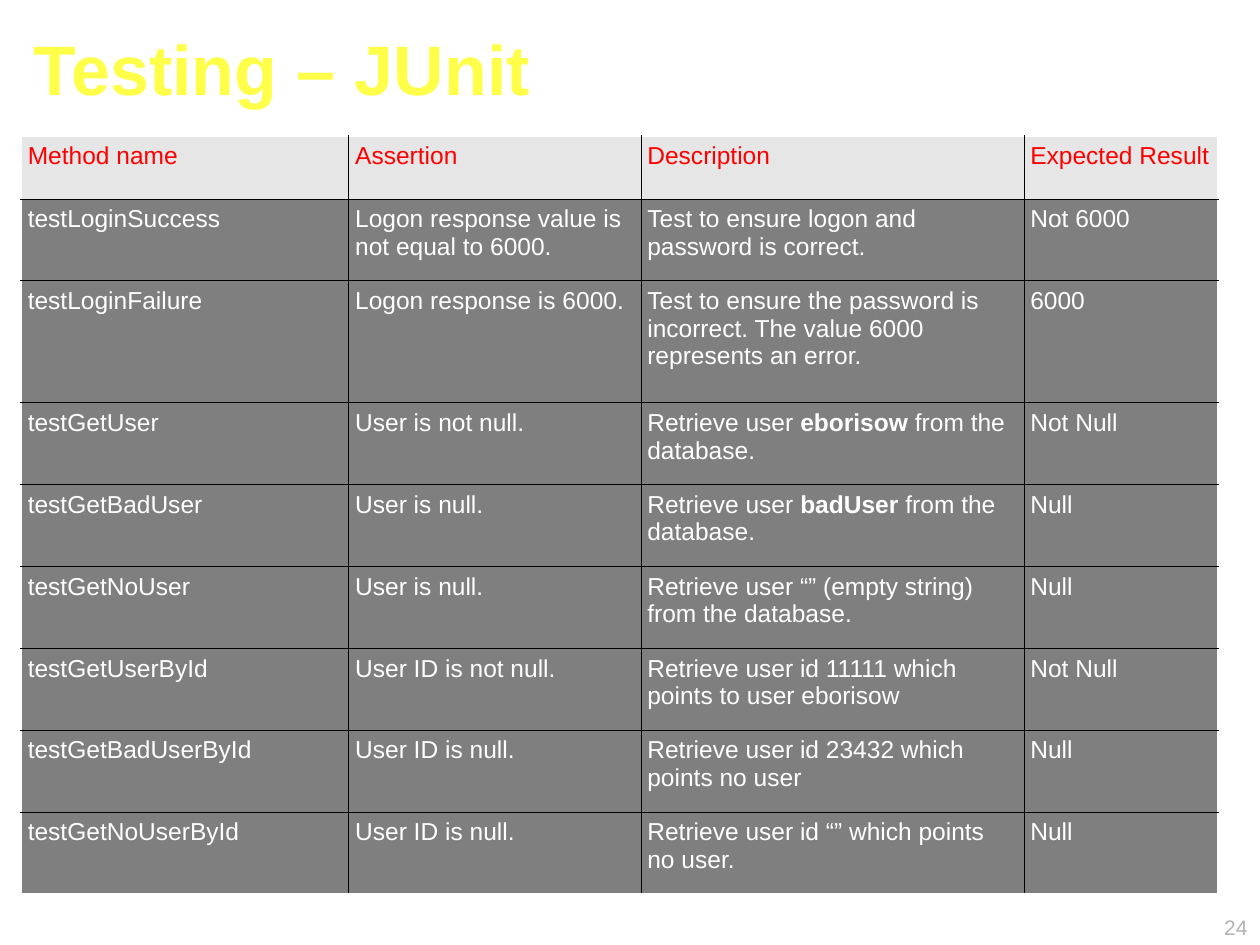
"""Build a slide with a table of JUnit test cases."""
from lxml import etree
from pptx import Presentation
from pptx.dml.color import RGBColor
from pptx.enum import text as t
from pptx.oxml import ns
from pptx.util import Cm, Pt

COLORS = {"title": "FFFF49", "number": "B2B2B2", "head_text": "FF0000",
          "head_fill": "E6E6E6", "body_text": "FFFFFF", "body_fill": "7F7F7F",
          "inner": "000000", "outer": "FFFFFF"}
COLUMNS = [6.6, 5.89, 7.72, 3.92]
ROW_HEIGHTS = [1.27, 1.65, 2.46] + [1.65] * 6
ROWS = [
    ["Method name", "Assertion", "Description", "Expected Result"],
    ["testLoginSuccess", "Logon response value is not equal to 6000.",
     "Test to ensure logon and password is correct.", "Not 6000"],
    ["testLoginFailure", "Logon response is 6000.",
     "Test to ensure the password is incorrect. The value 6000 represents an error.", "6000"],
    ["testGetUser", "User is not null.",
     "Retrieve user **eborisow** from the database.", "Not Null"],
    ["testGetBadUser", "User is null.",
     "Retrieve user **badUser** from the database.", "Null"],
    ["testGetNoUser", "User is null.",
     "Retrieve user “” (empty string) from the database.", "Null"],
    ["testGetUserById", "User ID is not null.",
     "Retrieve user id 11111 which points to user eborisow", "Not Null"],
    ["testGetBadUserById", "User ID is null.",
     "Retrieve user id 23432 which points no user", "Null"],
    ["testGetNoUserById", "User ID is null.",
     "Retrieve user id “” which points no user.", "Null"],
]


def write(p, content, size, color, bold=False):
    for i, part in enumerate(content.split("**")):
        r = p.add_run()
        r.text = part
        if i % 2:
            r.font.bold = True
    p.font.name = "Arial"
    p.font.size = Pt(size)
    p.font.bold = bold
    p.font.color.rgb = RGBColor.from_string(COLORS[color])


def add_title(s, content):
    sp = s.shapes.title
    sp.left, sp.top, sp.width, sp.height = Cm(0.43), Cm(0.43), Cm(24.56), Cm(1.85)
    tf = sp.text_frame
    tf.auto_size = t.MSO_AUTO_SIZE.NONE
    tf.vertical_anchor = t.MSO_ANCHOR.MIDDLE
    p = tf.paragraphs[0]
    p.alignment = t.PP_ALIGN.LEFT
    write(p, content, 40, "title", True)


def add_page_number(s, number):
    tf = s.shapes.add_textbox(Cm(19.89), Cm(18.31), Cm(5.51), Cm(0.74)).text_frame
    tf.word_wrap = True
    p = tf.paragraphs[0]
    p.alignment = t.PP_ALIGN.RIGHT
    write(p, number, 12, "number")


def set_border(cell, side, outer):
    ln = etree.SubElement(cell._tc.get_or_add_tcPr(), ns.qn(f"a:ln{side}"),
                          w=str(Pt(1.47 if outer else 0.45)))
    fill = etree.SubElement(ln, ns.qn("a:solidFill"))
    etree.SubElement(fill, ns.qn("a:srgbClr"), val=COLORS["outer" if outer else "inner"])


def fill_cell(cell, content, part, edges):
    cell.margin_left = cell.margin_right = Cm(0.13)
    cell.margin_top = cell.margin_bottom = Cm(0.13)
    for side, outer in edges.items():
        set_border(cell, side, outer)
    cell.fill.solid()
    cell.fill.fore_color.rgb = RGBColor.from_string(COLORS[f"{part}_fill"])
    write(cell.text_frame.paragraphs[0], content, 14, f"{part}_text")


def add_test_table(s):
    table = s.shapes.add_table(len(ROWS), len(COLUMNS), Cm(0.43), Cm(2.74),
                               Cm(sum(COLUMNS)), Cm(sum(ROW_HEIGHTS))).table
    for column, width in zip(table.columns, COLUMNS):
        column.width = Cm(width)
    for i, (height, contents) in enumerate(zip(ROW_HEIGHTS, ROWS)):
        table.rows[i].height = Cm(height)
        for j, content in enumerate(contents):
            edges = {"L": j == 0, "R": j == len(COLUMNS) - 1,
                     "T": i == 0, "B": i == len(ROWS) - 1}
            fill_cell(table.cell(i, j), content, "body" if i else "head", edges)


def main():
    prs = Presentation()
    prs.slide_width, prs.slide_height = Cm(25.4), Cm(19.05)
    s = prs.slides.add_slide(prs.slide_layouts[5])
    add_title(s, "Testing – JUnit")
    add_page_number(s, "24")
    add_test_table(s)
    prs.save("out.pptx")


if __name__ == "__main__":
    main()
